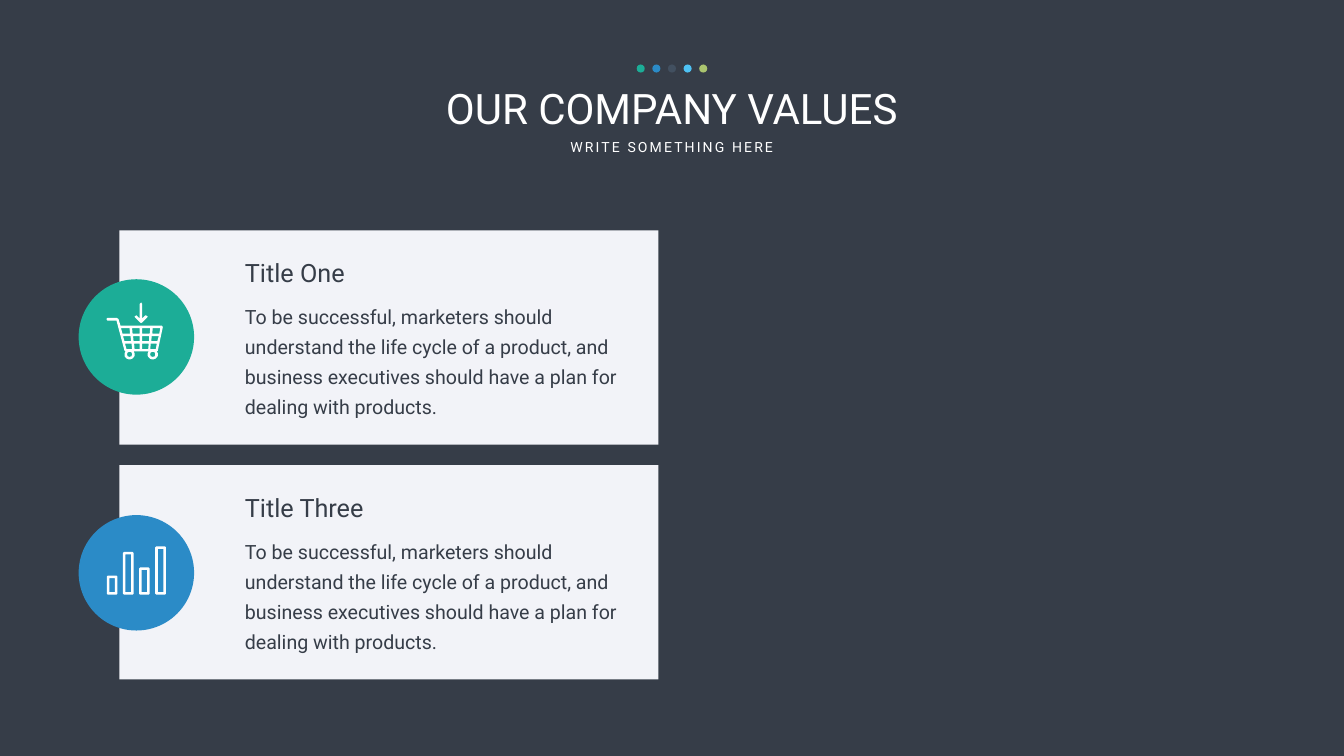
from math import cos, radians, sin

from pptx import Presentation
from pptx import util as u
from pptx.dml.color import RGBColor
from pptx.enum import shapes, text

PX = 9144
FONT = "Roboto"
DARK = RGBColor(0x36, 0x3D, 0x48)
SLATE = RGBColor(0x42, 0x50, 0x60)
PALE = RGBColor(0xF2, 0xF3, 0xF8)
WHITE = RGBColor(0xFF, 0xFF, 0xFF)
GREEN = RGBColor(0x1C, 0xAD, 0x97)
BLUE = RGBColor(0x2B, 0x8B, 0xC7)
SKY = RGBColor(0x4E, 0xC2, 0xF4)
LIME = RGBColor(0xAA, 0xC4, 0x6F)

RECT = shapes.MSO_SHAPE.RECTANGLE
OVAL = shapes.MSO_SHAPE.OVAL
CENTER = text.PP_ALIGN.CENTER
LEFT = text.PP_ALIGN.LEFT

BODY = ("To be successful, marketers should understand the life cycle of a product, "
        "and business executives should have a plan for dealing with products.")


class Deck:
    def __init__(self, width, height):
        self.prs = Presentation()
        self.prs.slide_width = width * PX
        self.prs.slide_height = height * PX

    def slide(self, color):
        self.s = self.prs.slides.add_slide(self.prs.slide_layouts[6])
        self.s.background.fill.solid()
        self.s.background.fill.fore_color.rgb = color

    def paint(self, sp, color):
        sp.shadow.inherit = False
        sp.fill.solid()
        sp.fill.fore_color.rgb = color
        sp.line.fill.background()
        return sp

    def shape(self, kind, box, color):
        sp = self.s.shapes.add_shape(kind, *(n * PX for n in box))
        return self.paint(sp, color)

    def group(self, members):
        return self.s.shapes.add_group_shape(members)

    def text(self, box, words, size, color, align=LEFT, wrap=True, spacing=None, tracking=0):
        sp = self.s.shapes.add_textbox(*(n * PX for n in box))
        tf = sp.text_frame
        tf.word_wrap = wrap
        p = tf.paragraphs[0]
        p.alignment = align
        if spacing:
            p.line_spacing = u.Pt(spacing)
        r = p.add_run()
        r.text = words
        for name, value in {"size": u.Pt(size), "name": FONT}.items():
            setattr(r.font, name, value)
        r.font.color.rgb = color
        if tracking:
            r.font._element.set("spc", str(tracking * 100))

    def freeform(self, contours, color):
        fb = self.s.shapes.build_freeform(*contours[0][0], scale=PX)
        for i, points in enumerate(contours):
            if i:
                fb.move_to(*points[0])
            fb.add_line_segments(points[1:], close=True)
        self.paint(fb.convert_to_shape(), color)


def arc(cx, cy, radius, start, end, steps=24):
    angles = [radians(start + (end - start) * i / steps) for i in range(steps + 1)]
    return [(round(cx + radius * cos(a), 2), round(cy + radius * sin(a), 2)) for a in angles]


def bars():
    bottom, width, wall, corner = 1180, 21, 5, 2
    contours = []
    for i, top in enumerate((1142, 1095, 1126, 1084)):
        left = 212 + 32 * i
        right = left + width
        contours.append([
            (left + corner, top), (right - corner, top), (right, top + corner),
            (right, bottom - corner), (right - corner, bottom), (left + corner, bottom),
            (left, bottom - corner), (left, top + corner)])
        contours.append([
            (left + wall, top + wall), (right - wall, top + wall),
            (right - wall, bottom - wall), (left + wall, bottom - wall)])
    return contours


def cart():
    basket_top, basket_bottom = 651, 693
    wheel_y, wheels = 703, (257, 303)
    frame = [(313, 696), (323, 649), (321, 646), (239, 646), (235, 633), (232, 631),
             (213, 631), (211, 633), (213, 636), (231, 636), (247, 696)]
    for x in wheels:
        frame += arc(x, wheel_y, 10, 215, -35)
    arrow = [(277, 603), (280, 600), (282, 603), (282, 632), (288, 626), (290, 626),
             (293, 628), (292, 630), (282, 640), (280, 641), (278, 640), (268, 630),
             (267, 628), (270, 626), (271, 626), (277, 632)]
    contours = [frame, arrow] + [arc(x, wheel_y, 5, 0, 345, 23) for x in wheels]

    def along(edge, y):
        share = (y - basket_top) / (basket_bottom - basket_top)
        return round(edge[0] + (edge[1] - edge[0]) * share, 2)

    columns = [((240, 251), (257, 262)), ((262, 267), (277, 277)),
               ((282, 282), (298, 294)), ((303, 298), (318, 309))]
    for top, bottom in ((651, 662), (667, 677), (682, 693)):
        for left, right in columns:
            contours.append([(along(left, top), top), (along(right, top), top),
                             (along(right, bottom), bottom), (along(left, bottom), bottom)])
    return contours


def main():
    deck = Deck(2666, 1500)
    deck.slide(DARK)
    deck.text((770, 159, 1125, 111), "OUR COMPANY VALUES", 60, WHITE, CENTER)
    deck.text((1115, 270, 435, 44), "WRITE SOMETHING HERE", 20, WHITE, CENTER,
              wrap=False, tracking=3)
    deck.group([deck.shape(OVAL, (1263 + 31 * i, 128, 16, 16), color)
                for i, color in enumerate((GREEN, BLUE, SLATE, SKY, LIME))])

    cards = [("Title One", 457, 554, GREEN, cart()),
             ("Title Three", 923, 1022, BLUE, bars())]
    for title, top, badge_top, color, icon in cards:
        deck.shape(RECT, (237, top, 1069, 425), PALE)
        deck.text((476, top + 130, 771, 251), BODY, 28, DARK, spacing=43)
        deck.text((476, top + 49, 419, 71), title, 36, DARK)
        deck.shape(OVAL, (156, badge_top, 229, 229), color)
        deck.freeform(icon, WHITE)
    deck.prs.save("out.pptx")


if __name__ == "__main__":
    main()
